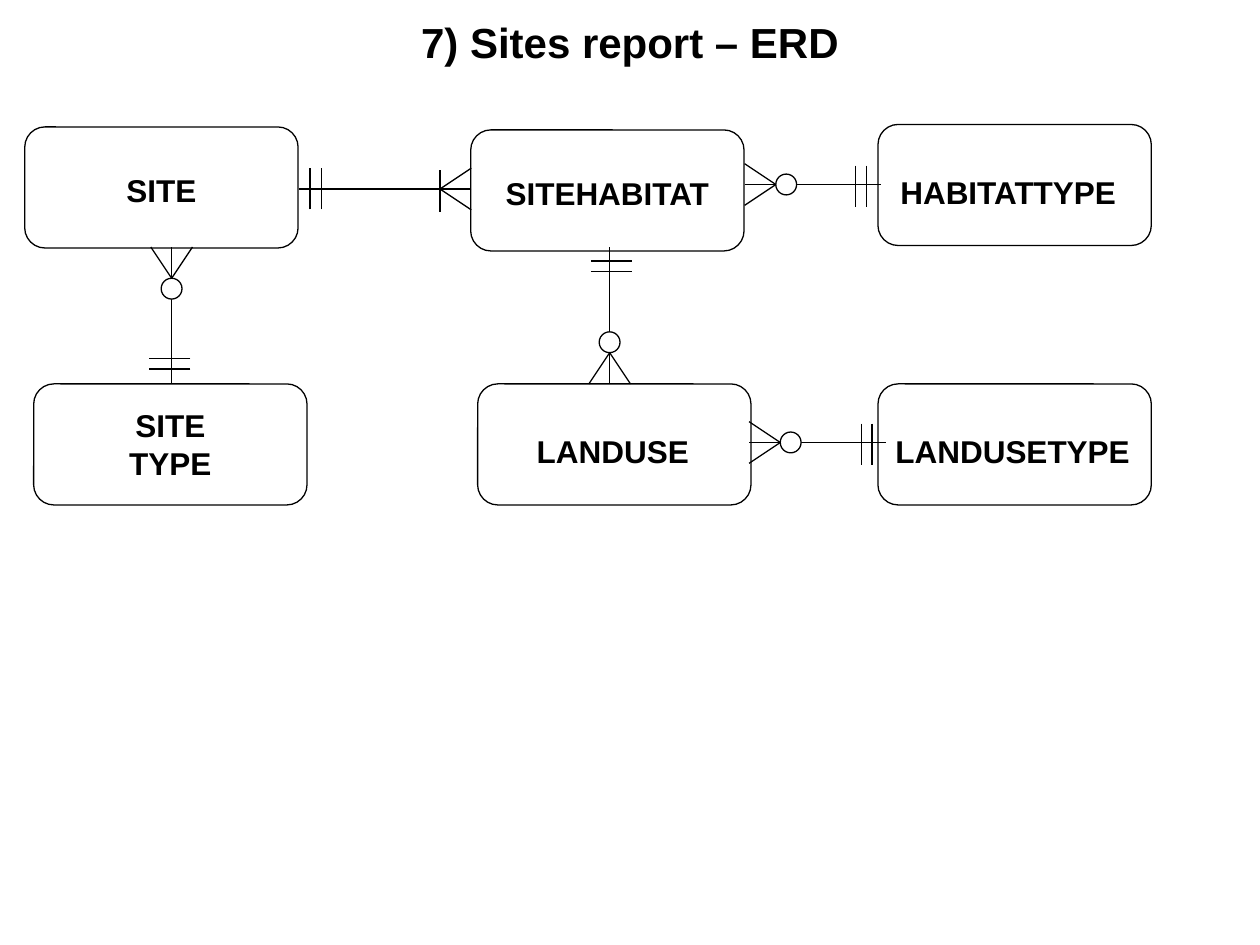
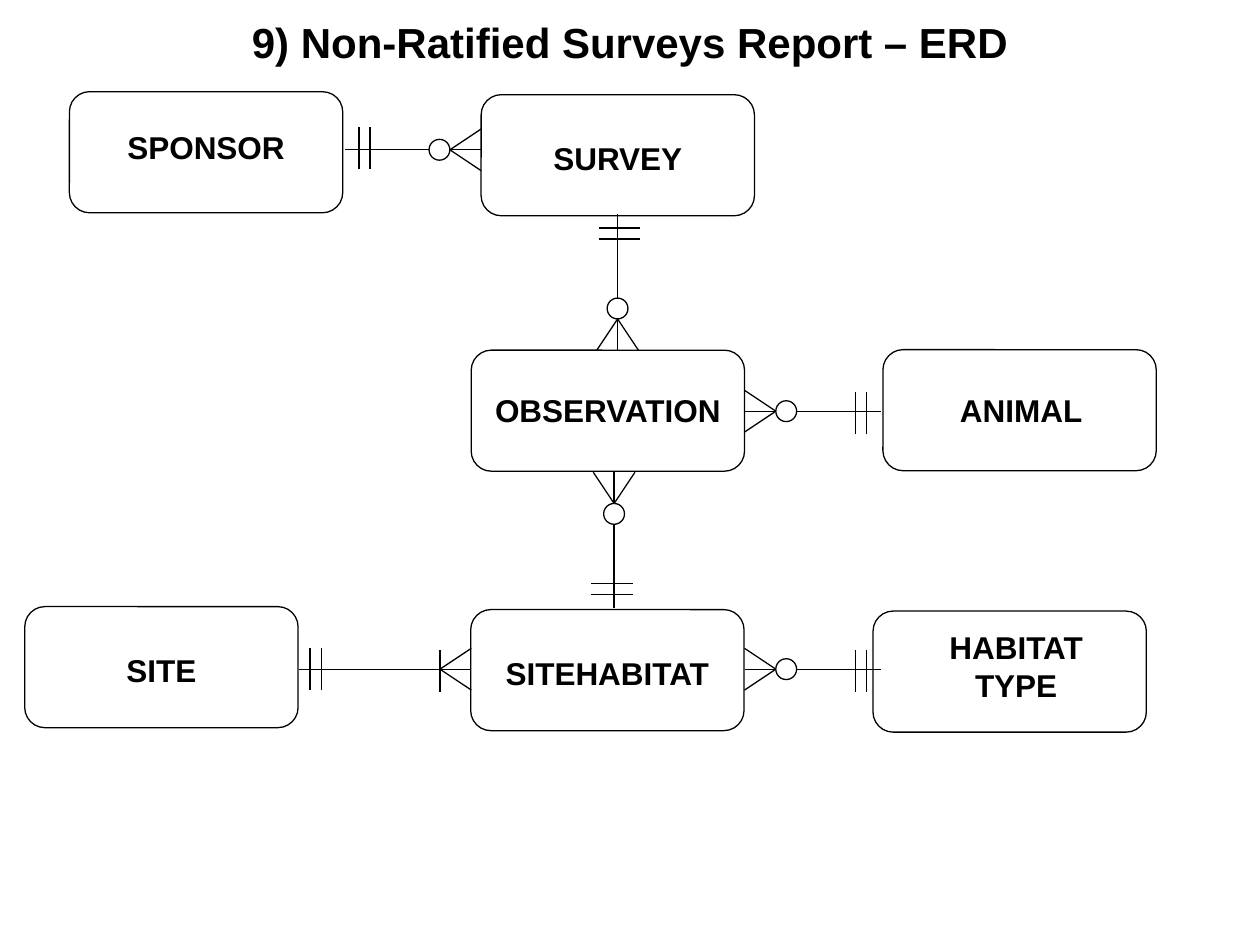
from dataclasses import dataclass

from lxml import etree
from pptx import Presentation
from pptx.dml.color import RGBColor
from pptx.enum.shapes import MSO_CONNECTOR as Connector, MSO_SHAPE as Preset
from pptx.enum.text import MSO_AUTO_SIZE as AutoSize, PP_ALIGN as Align
from pptx.oxml.ns import qn
from pptx.util import Cm, Pt


@dataclass(frozen=True)
class Theme:
    font: str = "Arial"
    ink: RGBColor = RGBColor(0, 0, 0)
    paper: RGBColor = RGBColor(255, 255, 255)
    title_size: Pt = Pt(24)
    label_size: Pt = Pt(18)
    line_width: Pt = Pt(0.75)


theme = Theme()

# All lengths below are in centimetres.
SLIDE_WIDTH, SLIDE_HEIGHT = 25.4, 19.05
ENTITY_WIDTH, ENTITY_HEIGHT = 5.51, 2.44
LINE_HEIGHT, TEXT_PADDING = 0.76, 0.26
FOOT_LENGTH, HALF_MARK, CIRCLE = 0.63, 0.42, 0.42
EAST, WEST, SOUTH, NORTH = (1, 0), (-1, 0), (0, 1), (0, -1)

# Entity: text, left, top, label left, label top
# Relation: x and y of the "many" end, direction, length, optional or not
diagrams = [
    {
        "title": "7) Sites report – ERD",
        "entities": [
            ("SITE", 0.5, 2.56, 0.5, 3.33),
            ("SITEHABITAT", 9.49, 2.62, 9.49, 3.38),
            ("HABITATTYPE", 17.7, 2.51, 17.57, 3.36),
            ("SITE\nTYPE", 0.68, 7.74, 0.68, 8.07),
            ("LANDUSE", 9.63, 7.74, 9.6, 8.59),
            ("LANDUSETYPE", 17.7, 7.74, 17.66, 8.59),
        ],
        "relations": [
            (3.46, 4.98, SOUTH, 2.74, True),
            (9.5, 3.81, WEST, 3.48, False),
            (15.01, 3.72, EAST, 2.74, True),
            (15.1, 8.92, EAST, 2.76, True),
            (12.29, 7.74, NORTH, 2.76, True),
        ],
    },
    {
        "title": "9) Non-Ratified Surveys Report – ERD",
        "entities": [
            ("SPONSOR", 1.4, 1.85, 1.4, 2.46),
            ("SURVEY", 9.7, 1.91, 9.7, 2.67),
            ("OBSERVATION", 9.5, 7.06, 9.5, 7.75),
            ("ANIMAL", 17.8, 7.05, 17.83, 7.76),
            ("SITE", 0.5, 12.23, 0.5, 13),
            ("SITEHABITAT", 9.49, 12.29, 9.49, 13.06),
            ("HABITAT\nTYPE", 17.6, 12.32, 17.73, 12.54),
        ],
        "relations": [
            (9.7, 3.02, WEST, 2.74, True),
            (12.45, 7.06, NORTH, 2.74, True),
            (15.01, 8.29, EAST, 2.74, True),
            (12.38, 9.52, SOUTH, 2.74, True),
            (9.5, 13.49, WEST, 3.48, False),
            (15.01, 13.49, EAST, 2.74, True),
        ],
    },
]


def add_text(slide, text, left, top, width, height, size):
    """Add a bold, centred text box with one paragraph per line of text."""
    box = slide.shapes.add_textbox(Cm(left), Cm(top), Cm(width), Cm(height))
    frame = box.text_frame
    frame.word_wrap = True
    frame.auto_size = AutoSize.SHAPE_TO_FIT_TEXT
    for index, line in enumerate(text.split("\n")):
        paragraph = frame.add_paragraph() if index else frame.paragraphs[0]
        paragraph.alignment = Align.CENTER
        run = paragraph.add_run()
        run.text = line
        run.font.name, run.font.size, run.font.bold = theme.font, size, True
        run.font.color.rgb = theme.ink


def add_outlined(shapes, preset, left, top, width, height):
    shape = shapes.add_shape(preset, Cm(left), Cm(top), Cm(width), Cm(height))
    shape.shadow.inherit = False
    shape.fill.solid()
    shape.fill.fore_color.rgb = theme.paper
    shape.line.color.rgb = theme.ink
    shape.line.width = theme.line_width


presentation = Presentation()
presentation.slide_width = Cm(SLIDE_WIDTH)
presentation.slide_height = Cm(SLIDE_HEIGHT)
blank_layout = presentation.slide_layouts[6]

for diagram in diagrams:
    slide = presentation.slides.add_slide(blank_layout)
    add_text(slide, diagram["title"], 0, 0.2, SLIDE_WIDTH, 1.27, theme.title_size)

    for text, left, top, label_left, label_top in diagram["entities"]:
        add_outlined(slide.shapes, Preset.FLOWCHART_ALTERNATE_PROCESS,
                     left, top, ENTITY_WIDTH, ENTITY_HEIGHT)
        label_height = TEXT_PADDING + LINE_HEIGHT * len(text.split("\n"))
        add_text(slide, text, label_left, label_top, ENTITY_WIDTH, label_height,
                 theme.label_size)

    for x, y, (dx, dy), length, optional in diagram["relations"]:
        # Each point is (distance along the relation, distance across it).
        lines = [((0, 0), (length, 0))]
        lines += [((0, side), (FOOT_LENGTH, 0)) for side in (-HALF_MARK, HALF_MARK)]
        if optional:
            bars = [(length - 0.5, 0.04), (length - 0.28, 0.04)]
        else:
            bars = [(FOOT_LENGTH, -0.04), (length - 0.46, 0.01), (length - 0.23, 0.01)]
        lines += [((along, middle - HALF_MARK), (along, middle + HALF_MARK))
                  for along, middle in bars]

        group = slide.shapes.add_group_shape()
        for line in lines:
            ends = [Cm(value) for along, across in line
                    for value in (x + along * dx - across * dy,
                                  y + along * dy + across * dx)]
            connector = group.shapes.add_connector(Connector.STRAIGHT, *ends)
            connector.line.color.rgb = theme.ink
            connector.line.width = theme.line_width
            etree.SubElement(connector._element.spPr, qn("a:effectLst"))
        if optional:
            centre = FOOT_LENGTH + CIRCLE / 2
            add_outlined(group.shapes, Preset.OVAL, x + centre * dx - CIRCLE / 2,
                         y + centre * dy - CIRCLE / 2, CIRCLE, CIRCLE)

presentation.save("out.pptx")
